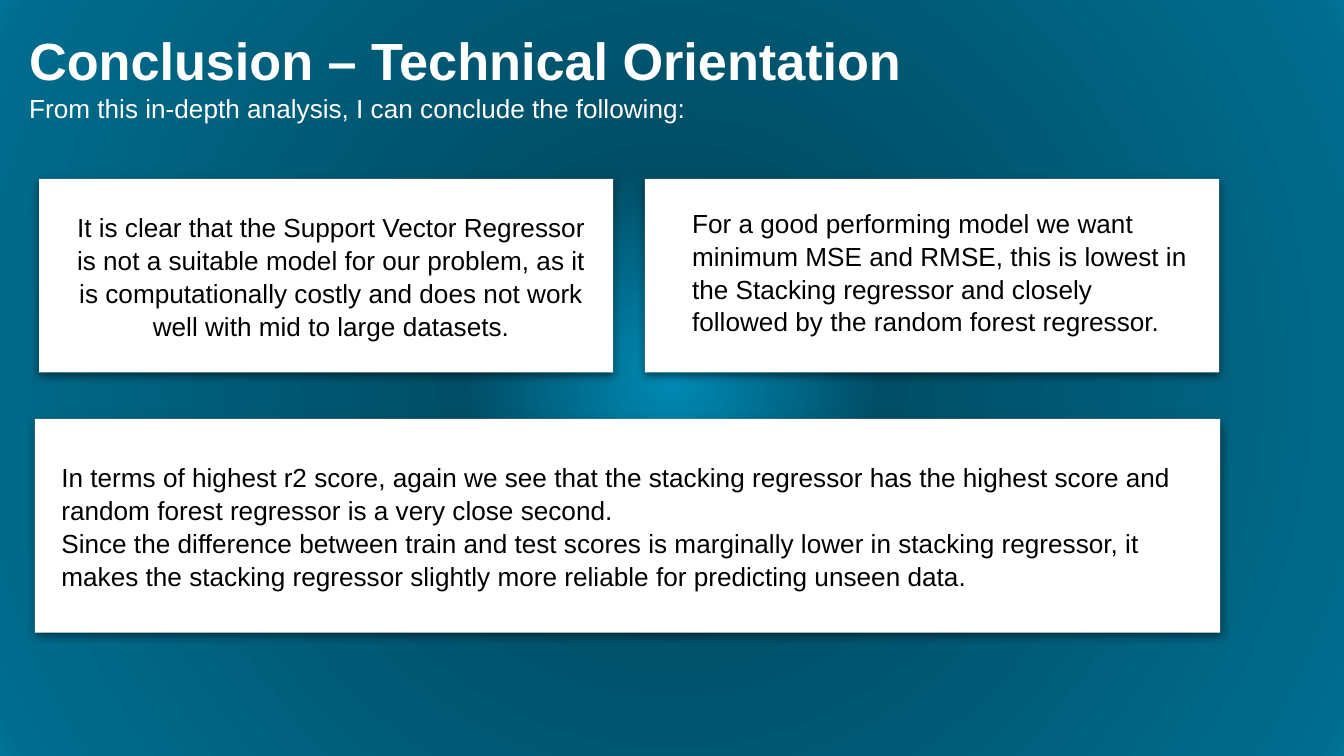
import lxml.etree
import pptx
import pptx.dml.color
import pptx.enum.shapes
import pptx.enum.text
import pptx.oxml
import pptx.oxml.ns
import pptx.util

Cm = pptx.util.Cm
ALIGN = pptx.enum.text.PP_ALIGN
ANCHOR = pptx.enum.text.MSO_ANCHOR
NS = pptx.oxml.ns.nsdecls("a")


def color(hex_code):
    return pptx.dml.color.RGBColor.from_string(hex_code)


def write(shape, box, paragraphs, size=14, bold=False, ink="000000",
          align=ALIGN.LEFT, anchor=ANCHOR.MIDDLE, indent=0):
    shape.left, shape.top, shape.width, shape.height = [Cm(v) for v in box]
    frame = shape.text_frame
    frame.word_wrap = True
    frame.auto_size = pptx.enum.text.MSO_AUTO_SIZE.NONE
    frame.vertical_anchor = anchor
    frame.margin_left = frame.margin_right = Cm(0.25)
    frame.margin_top = frame.margin_bottom = Cm(0.25)
    for number, text in enumerate(paragraphs):
        paragraph = frame.add_paragraph() if number else frame.paragraphs[0]
        paragraph.alignment = align
        paragraph.line_spacing = 1.05
        paragraph.space_before = paragraph.space_after = pptx.util.Pt(0)
        properties = paragraph._p.get_or_add_pPr()
        properties.set("marL", str(Cm(indent)))
        properties.set("indent", "0")
        lxml.etree.SubElement(properties, pptx.oxml.ns.qn("a:buNone"))
        run = paragraph.add_run()
        run.text = text
        run.font.name = "Arial"
        run.font.size = pptx.util.Pt(size)
        run.font.bold = bold
        run.font.color.rgb = color(ink)
    return frame


deck = pptx.Presentation()
deck.slide_width, deck.slide_height = Cm(25.4), Cm(14.29)
slide = deck.slides.add_slide(deck.slide_layouts.get_by_name("Two Content"))
title, model_choice, error_scores = slide.placeholders

slide.background.fill.gradient()
gradient = slide.background._cSld.bg.bgPr.find(pptx.oxml.ns.qn("a:gradFill"))
stops = [(0, "008AB5"), (27, "004E66"), (97, "006D8E"), (100, "007599")]
stop_xml = "".join(
    f'<a:gs pos="{position * 1000}"><a:srgbClr val="{shade}"/></a:gs>'
    for position, shade in stops)
gradient.getparent().replace(gradient, pptx.oxml.parse_xml(
    f'<a:gradFill {NS}><a:gsLst>{stop_xml}</a:gsLst><a:path path="circle">'
    '<a:fillToRect l="50000" t="50000" r="50000" b="50000"/></a:path></a:gradFill>'))

cards = [(12.19, 3.38, 10.85, 3.66), (0.74, 3.38, 10.85, 3.66), (0.66, 7.92, 22.4, 4.04)]
for place, card_box in enumerate(cards):
    card = slide.shapes.add_shape(
        pptx.enum.shapes.MSO_SHAPE.RECTANGLE, *[Cm(v) for v in card_box])
    card.fill.solid()
    card.fill.fore_color.rgb = color("FFFFFF")
    card.line.fill.background()
    card._element.spPr.append(pptx.oxml.parse_xml(
        f'<a:effectLst {NS}><a:outerShdw blurRad="57150" dist="19050" dir="5400000" '
        'algn="bl" rotWithShape="0"><a:srgbClr val="000000"><a:alpha val="50000"/>'
        '</a:srgbClr></a:outerShdw></a:effectLst>'))
    slide.shapes._spTree.insert(2 + place, card._element)

heading = write(title, (0.3, 0.23, 21.44, 2.11), ["Conclusion – Technical Orientation"],
                size=28, bold=True, ink="FFFFFF", anchor=ANCHOR.TOP)
heading.paragraphs[0].add_line_break()
lead_in = heading.paragraphs[0].add_run()
lead_in.text = "From this in-depth analysis, I can conclude the following:"
lead_in.font.name = "Arial"
lead_in.font.size = pptx.util.Pt(14)
lead_in.font.bold = False
lead_in.font.color.rgb = color("FFFFFF")

write(error_scores, (12.45, 3.53, 10.34, 3.2), [
    "For a good performing model we want minimum MSE and RMSE, this is lowest in "
    "the Stacking regressor and closely followed by the random forest regressor."],
    indent=0.38)
write(model_choice, (1.09, 3.76, 10.34, 2.9), [
    "It is clear that the Support Vector Regressor is not a suitable model for our "
    "problem, as it is computationally costly and does not work well with mid to "
    "large datasets."], align=ALIGN.CENTER)

r2_scores = slide.shapes.add_textbox(0, 0, 0, 0)
write(r2_scores, (0.53, 8.23, 22.63, 3.43), [
    "In terms of highest r2 score, again we see that the stacking regressor has the "
    "highest score and random forest regressor is a very close second.",
    "Since the difference between train and test scores is marginally lower in "
    "stacking regressor, it makes the stacking regressor slightly more reliable for "
    "predicting unseen data."], indent=0.38)

deck.save("out.pptx")
